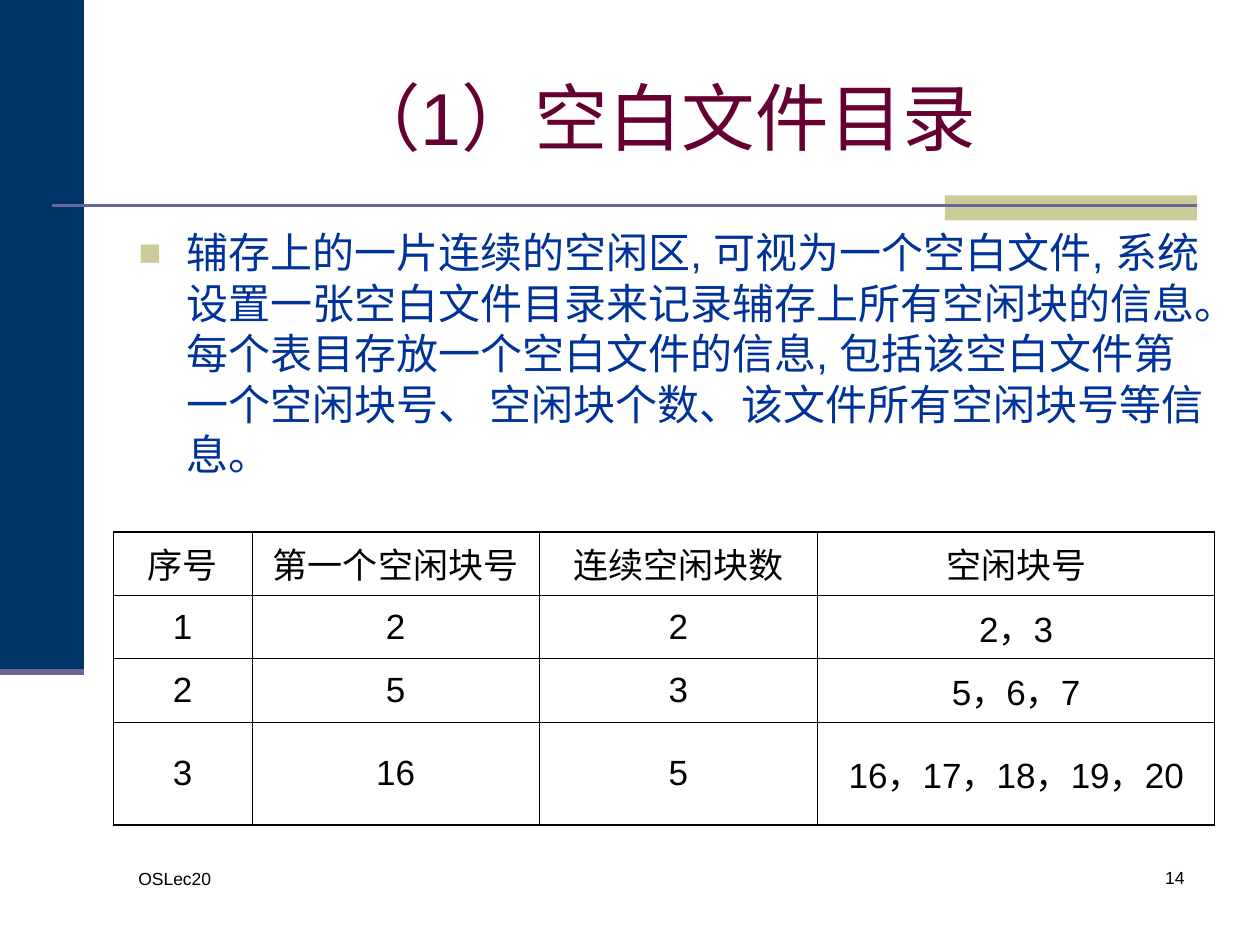
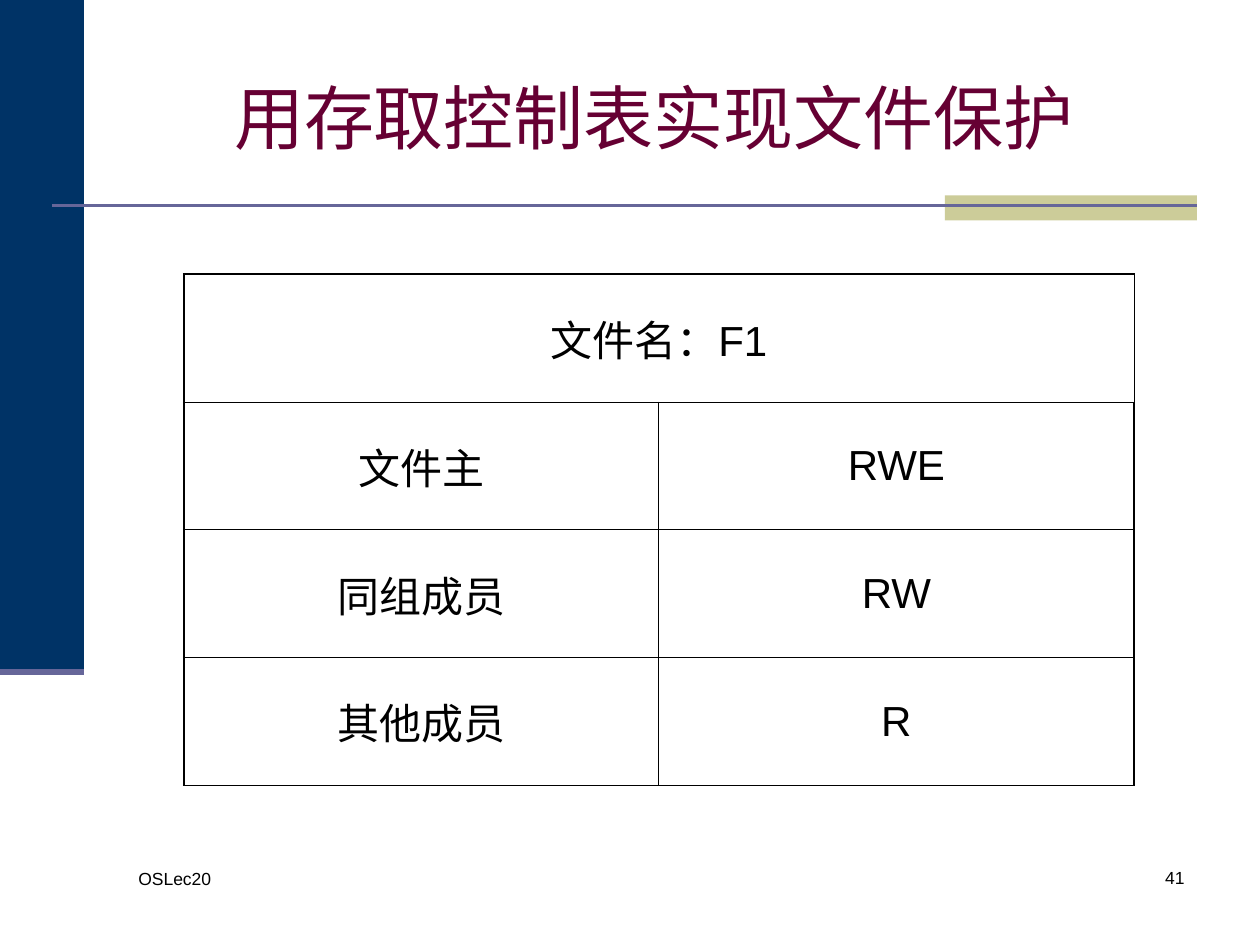
from dataclasses import dataclass

from lxml import etree
from pptx import Presentation
from pptx import util as u
from pptx.dml.color import RGBColor
from pptx.enum import shapes, text
from pptx.oxml import ns

COLS, ROWS = 120, 90  # grid of the slide


@dataclass(frozen=True)
class Theme:
    navy: str = "003366"
    sand: str = "CCCC99"
    rule: str = "666699"
    wine: str = "660033"
    blue: str = "003399"
    ink: str = "000000"
    font: str = "Arial"
    cjk: str = "Noto Sans CJK SC"
    head: int = 42
    body: int = 24
    cell: int = 20
    foot: int = 10
    thick: float = 1.08
    thin: float = 0.45


def rgb(code):
    return RGBColor.from_string(code)


def sub(node, tag, **attrs):
    return etree.SubElement(node, ns.qn(tag), **attrs)


def write(frame, words, size, color, font, align=text.PP_ALIGN.LEFT,
          anchor=text.MSO_ANCHOR.TOP, bullet=None):
    """Fill a text frame with one formatted paragraph."""
    frame.word_wrap = True
    frame.auto_size = text.MSO_AUTO_SIZE.NONE
    frame.vertical_anchor = anchor
    para = frame.paragraphs[0]
    para.text = words
    para.alignment = align
    para.space_before = u.Pt(0)
    if bullet:
        mark(para, bullet)
    face = para.runs[0].font
    face.size, face.name = u.Pt(size), font
    face.color.rgb = rgb(color)


def mark(para, color):
    """Give a paragraph a square bullet with a hanging indent."""
    props = para._p.get_or_add_pPr()
    hang = u.Inches(0.38)
    props.set("marL", str(hang))
    props.set("indent", str(-hang))
    sub(sub(props, "a:buClr"), "a:srgbClr", val=color)
    sub(props, "a:buSzPct", val="90000")
    sub(props, "a:buChar", char="■")


def edge(cell, side, width, color):
    line = sub(cell._tc.get_or_add_tcPr(), f"a:ln{side}", w=str(u.Pt(width)))
    sub(sub(line, "a:solidFill"), "a:srgbClr", val=color)


class Deck:
    """Holds the theme and the current slide; lengths are grid units."""

    def __init__(self, theme):
        self.theme = theme
        self.prs = Presentation()
        self.prs.slide_width, self.prs.slide_height = u.Inches(10), u.Inches(7.5)

    def x(self, cols):
        return round(self.prs.slide_width * cols / COLS)

    def y(self, rows):
        return round(self.prs.slide_height * rows / ROWS)

    def area(self, left, top, wide, high):
        return self.x(left), self.y(top), self.x(wide), self.y(high)

    def page(self, layout, number):
        """Start a slide with the shared bands, rules and footer."""
        t = self.theme
        self.slide = self.prs.slides.add_slide(self.prs.slide_layouts[layout])
        self.band((0, 0, 8, 64), t.navy)
        self.band((90, 18.6, 24, 2.4), t.sand)
        self.rule(5, 114, 19.6, 1.5)
        self.rule(0, 8, 64, 3.5)
        self.note((12, 82.1, 26, 6), "OSLec20", text.PP_ALIGN.LEFT)
        self.note((89, 82, 25, 6), number, text.PP_ALIGN.RIGHT)

    def band(self, box, color):
        rect = self.slide.shapes.add_shape(
            shapes.MSO_SHAPE.RECTANGLE, *self.area(*box))
        rect.shadow.inherit = False
        rect.fill.solid()
        rect.fill.fore_color.rgb = rgb(color)
        rect.line.fill.background()

    def rule(self, start, end, row, width):
        line = self.slide.shapes.add_connector(
            shapes.MSO_CONNECTOR.STRAIGHT,
            self.x(start), self.y(row), self.x(end), self.y(row))
        line.line.color.rgb = rgb(self.theme.rule)
        line.line.width = u.Pt(width)
        sub(line._element.spPr, "a:effectLst")

    def note(self, box, words, align):
        t = self.theme
        frame = self.slide.shapes.add_textbox(*self.area(*box)).text_frame
        write(frame, words, t.foot, t.ink, t.font, align=align)

    def place(self, index, box):
        """Move a placeholder and return its text frame."""
        holder = self.slide.placeholders[index]
        holder.left, holder.top, holder.width, holder.height = self.area(*box)
        return holder.text_frame

    def title(self, words, size, font):
        write(self.place(0, (12, 3.6, 102, 15)), words, size, self.theme.wine,
              font, align=text.PP_ALIGN.CENTER, anchor=text.MSO_ANCHOR.MIDDLE)

    def body(self, words):
        t = self.theme
        write(self.place(1, (12, 21, 104.76, 59.4)), words, t.body, t.blue,
              t.font, bullet=t.sand)

    def table(self, left, top, wides, highs, data, size):
        """Draw a ruled table; a short row has its last cell merged to the end."""
        t = self.theme
        box = self.area(left, top, sum(wides), sum(highs))
        grid = self.slide.shapes.add_table(len(highs), len(wides), *box).table
        grid.first_row = grid.horz_banding = False
        for col, wide in zip(grid.columns, wides):
            col.width = self.x(wide)
        for row, high in zip(grid.rows, highs):
            row.height = self.y(high)
        lastr, lastc = len(highs) - 1, len(wides) - 1
        for r, words in enumerate(data):
            for c in range(len(wides)):
                cell = grid.cell(r, c)
                outer = {"L": c == 0, "R": c == lastc,
                         "T": r == 0, "B": r == lastr}
                for side, out in outer.items():
                    edge(cell, side, t.thick if out else t.thin, t.ink)
                cell.fill.background()
            if len(words) <= lastc:
                grid.cell(r, len(words) - 1).merge(grid.cell(r, lastc))
            for c, word in enumerate(words):
                cell = grid.cell(r, c)
                write(cell.text_frame, word, size, t.ink, t.font,
                      align=text.PP_ALIGN.CENTER)
                cell.vertical_anchor = text.MSO_ANCHOR.MIDDLE


def main():
    theme = Theme()
    deck = Deck(theme)

    deck.page(1, "14")
    deck.title("（1）空白文件目录", theme.head, theme.font)
    deck.body("辅存上的一片连续的空闲区, 可视为一个空白文件, 系统设置一张空白文件目录"
              "来记录辅存上所有空闲块的信息。每个表目存放一个空白文件的信息, "
              "包括该空白文件第一个空闲块号、 空闲块个数、该文件所有空闲块号等信息。")
    deck.table(10.8, 50.64, [13.2, 27.36, 26.52, 37.8], [6.05] * 3 + [9.75], [
        ["序号", "第一个空闲块号", "连续空闲块数", "空闲块号"],
        ["1", "2", "2", "2，3"],
        ["2", "5", "3", "5，6，7"],
        ["3", "16", "5", "16，17，18，19，20"],
    ], theme.cell)

    deck.page(5, "41")
    deck.title("用存取控制表实现文件保护 ", theme.head - 2, theme.cjk)
    deck.table(17.5, 26.1, [45.25] * 2, [12.18] * 4, [
        ["文件名：F1"],
        ["文件主", "RWE"],
        ["同组成员", "RW"],
        ["其他成员", "R"],
    ], theme.body)

    deck.prs.save("out.pptx")


if __name__ == "__main__":
    main()
